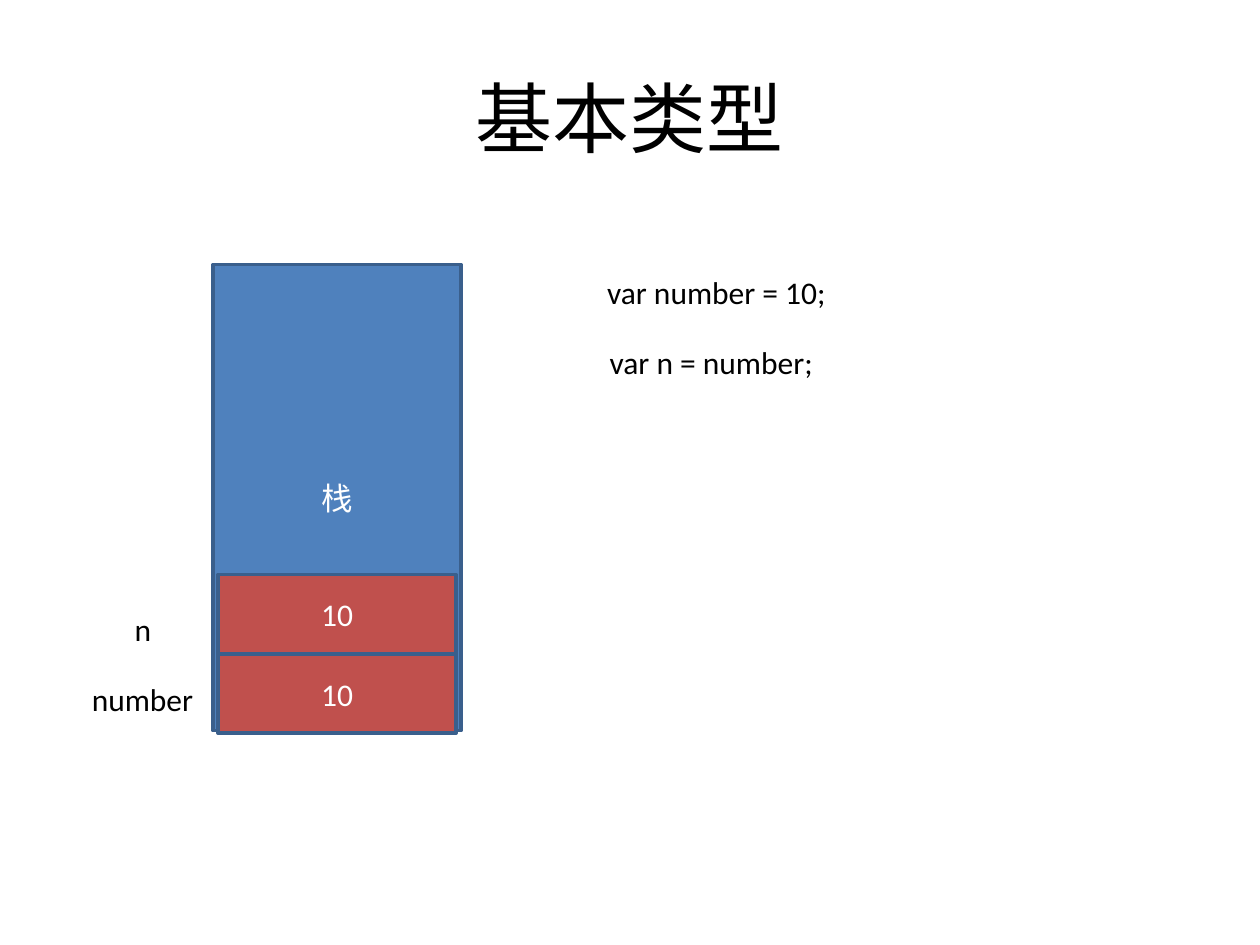
from pptx import Presentation
from pptx.dml.color import RGBColor
from pptx.enum.shapes import MSO_SHAPE
from pptx.enum.text import MSO_ANCHOR, MSO_AUTO_SIZE, PP_ALIGN
from pptx.util import Inches, Pt

FONT = "Calibri"
BLACK, WHITE = "000000", "FFFFFF"
STACK_BLUE, CELL_RED, BORDER = "4F81BD", "C0504D", "3A5F8C"

STACK_BOX = (1.69, 2.1, 1.97, 3.7)
CELL_LEFT, CELL_TOP, CELL_WIDTH, CELL_HEIGHT = 1.73, 4.56, 1.89, 0.63
CELL_VALUES = ["10", "10"]
LABEL_HEIGHT = 0.4
LABELS = [
    ("var number = 10;", 4.72, 2.12, 1.96),
    ("var n = number;", 4.74, 2.67, 1.84),
    ("n", 0.97, 4.79, 0.34),
    ("number", 0.63, 5.35, 1.02),
]


def color(value):
    return RGBColor.from_string(value)


def write(text_frame, text, size, text_color, align):
    paragraph = text_frame.paragraphs[0]
    paragraph.alignment = align
    run = paragraph.add_run()
    run.text = text
    run.font.name = FONT
    run.font.size = Pt(size)
    run.font.color.rgb = color(text_color)


def set_title(slide, text):
    title = slide.shapes.title
    title.left, title.top = Inches(0.5), Inches(0.3)
    title.width, title.height = Inches(9), Inches(1.25)
    title.text_frame.vertical_anchor = MSO_ANCHOR.MIDDLE
    write(title.text_frame, text, 44, BLACK, PP_ALIGN.CENTER)


def add_box(slide, text, box, fill):
    shape = slide.shapes.add_shape(MSO_SHAPE.RECTANGLE, *map(Inches, box))
    shape.shadow.inherit = False
    shape.fill.solid()
    shape.fill.fore_color.rgb = color(fill)
    shape.line.color.rgb = color(BORDER)
    shape.line.width = Pt(2)
    shape.text_frame.vertical_anchor = MSO_ANCHOR.MIDDLE
    write(shape.text_frame, text, 18, WHITE, PP_ALIGN.CENTER)


def add_label(slide, text, left, top, width):
    box = map(Inches, (left, top, width, LABEL_HEIGHT))
    text_frame = slide.shapes.add_textbox(*box).text_frame
    text_frame.word_wrap = False
    text_frame.auto_size = MSO_AUTO_SIZE.SHAPE_TO_FIT_TEXT
    write(text_frame, text, 18, BLACK, PP_ALIGN.LEFT)


def main():
    presentation = Presentation()
    presentation.slide_width = Inches(10)
    presentation.slide_height = Inches(7.5)
    slide = presentation.slides.add_slide(presentation.slide_layouts[5])

    set_title(slide, "基本类型")
    add_box(slide, "栈", STACK_BOX, STACK_BLUE)
    for row, value in enumerate(CELL_VALUES):
        top = CELL_TOP + row * CELL_HEIGHT
        add_box(slide, value, (CELL_LEFT, top, CELL_WIDTH, CELL_HEIGHT), CELL_RED)
    for label in LABELS:
        add_label(slide, *label)

    presentation.save("out.pptx")


if __name__ == "__main__":
    main()
